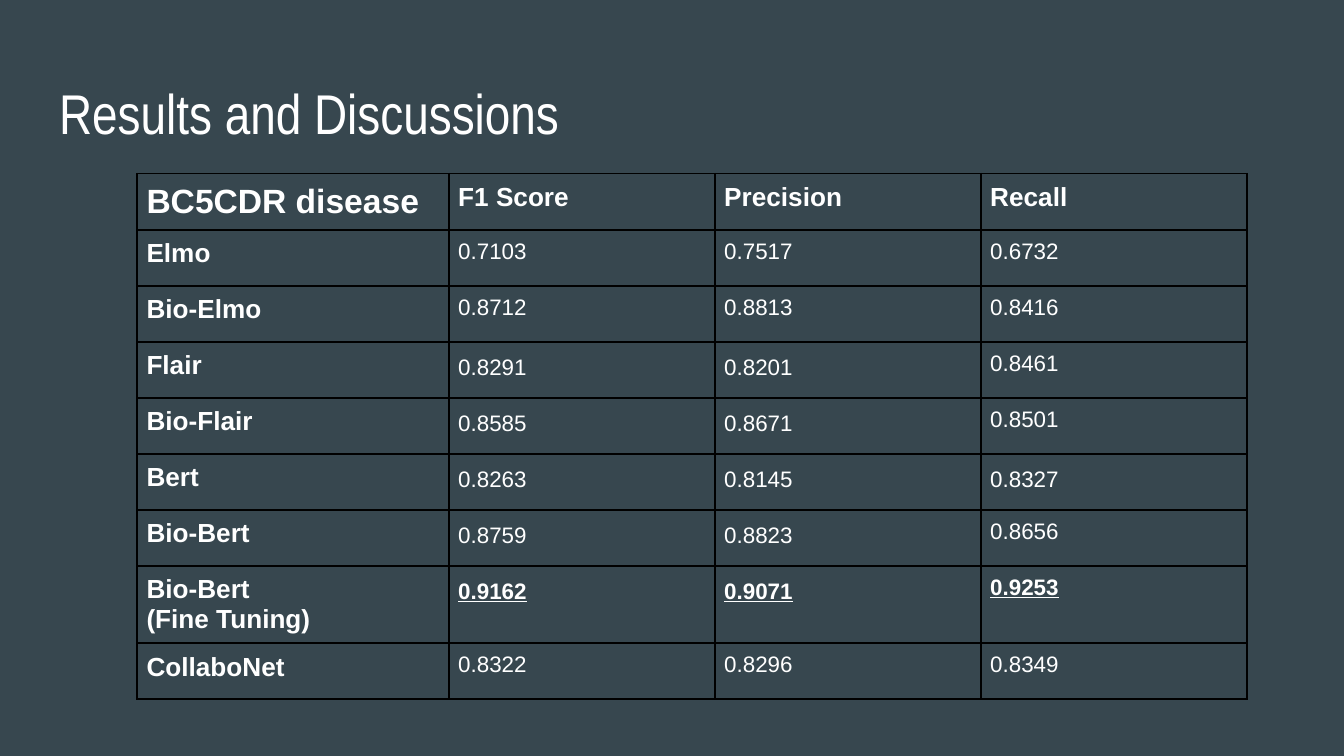
from dataclasses import dataclass

from lxml import etree
from pptx import Presentation
from pptx.dml.color import RGBColor
from pptx.enum import text
from pptx.oxml import ns
from pptx.util import Pt

BACKGROUND = "37474F"
WHITE = "FFFFFF"
BLACK = "000000"
ROW_HEIGHT = 30
COLUMN_WIDTHS = (167, 142.5, 142.5, 142.5)
LOOSE_SPACING = 1.15


@dataclass
class Result:
    model: str
    scores: tuple[str, str, str]
    loose_scores: int = 0
    best: bool = False


METRICS = ("F1 Score", "Precision", "Recall")
RESULTS = (
    Result("Elmo", ("0.7103", "0.7517", "0.6732")),
    Result("Bio-Elmo", ("0.8712", "0.8813", "0.8416")),
    Result("Flair", ("0.8291", "0.8201", "0.8461"), loose_scores=2),
    Result("Bio-Flair", ("0.8585", "0.8671", "0.8501"), loose_scores=2),
    Result("Bert", ("0.8263", "0.8145", "0.8327"), loose_scores=3),
    Result("Bio-Bert", ("0.8759", "0.8823", "0.8656"), loose_scores=2),
    Result("Bio-Bert \v(Fine Tuning)", ("0.9162", "0.9071", "0.9253"),
           loose_scores=2, best=True),
    Result("CollaboNet", ("0.8322", "0.8296", "0.8349")),
)


def paint(color_format, color: str) -> None:
    color_format.rgb = RGBColor.from_string(color)


def style_font(font, size: float, name: str = "Arial", bold: bool = False,
               underline: bool = False) -> None:
    font.size = Pt(size)
    font.name = name
    font.bold = bold
    font.underline = underline
    paint(font.color, WHITE)


def add_borders(cell, color: str, width: float) -> None:
    properties = cell._tc.get_or_add_tcPr()
    for position, side in enumerate(("lnL", "lnR", "lnT", "lnB")):
        border = etree.Element(ns.qn(f"a:{side}"), w=str(Pt(width)))
        fill = etree.SubElement(border, ns.qn("a:solidFill"))
        etree.SubElement(fill, ns.qn("a:srgbClr"), val=color)
        properties.insert(position, border)


def write_cell(cell, words: str, size: float, bold: bool = True,
               underline: bool = False, loose: bool = False) -> None:
    cell.text = words
    cell.margin_left = cell.margin_right = Pt(5)
    cell.margin_top = cell.margin_bottom = Pt(5)
    cell.fill.background()
    add_borders(cell, BLACK, 1)
    paragraph = cell.text_frame.paragraphs[0]
    style_font(paragraph.font, size, bold=bold, underline=underline)
    if loose:
        paragraph.line_spacing = LOOSE_SPACING


def add_title(slide, words: str) -> None:
    title = slide.shapes.title
    title.left, title.top = Pt(24.5), Pt(35)
    title.width, title.height = Pt(671), Pt(45)
    frame = title.text_frame
    frame.text = words
    frame.margin_left = frame.margin_right = Pt(7.2)
    frame.margin_top = frame.margin_bottom = Pt(7.2)
    frame.vertical_anchor = text.MSO_ANCHOR.TOP
    paragraph = frame.paragraphs[0]
    paragraph.alignment = text.PP_ALIGN.LEFT
    style_font(paragraph.font, 30, "Arial Narrow")


def add_results(slide) -> None:
    row_count = len(RESULTS) + 1
    scores = slide.shapes.add_table(
        row_count, len(COLUMN_WIDTHS), Pt(73.5), Pt(93),
        Pt(sum(COLUMN_WIDTHS)), Pt(ROW_HEIGHT * row_count)).table
    scores.first_row = scores.horz_banding = False
    for column, width in zip(scores.columns, COLUMN_WIDTHS):
        column.width = Pt(width)
    for row in scores.rows:
        row.height = Pt(ROW_HEIGHT)

    write_cell(scores.cell(0, 0), "BC5CDR disease", 18)
    for column, metric in enumerate(METRICS, 1):
        write_cell(scores.cell(0, column), metric, 14)
    for row, result in enumerate(RESULTS, 1):
        write_cell(scores.cell(row, 0), result.model, 14)
        for column, score in enumerate(result.scores, 1):
            write_cell(scores.cell(row, column), score, 12, bold=result.best,
                       underline=result.best,
                       loose=column <= result.loose_scores)


presentation = Presentation()
presentation.slide_width, presentation.slide_height = Pt(720), Pt(405)
slide = presentation.slides.add_slide(presentation.slide_layouts[5])
slide.background.fill.solid()
paint(slide.background.fill.fore_color, BACKGROUND)
add_title(slide, "Results and Discussions")
add_results(slide)
presentation.save("out.pptx")
